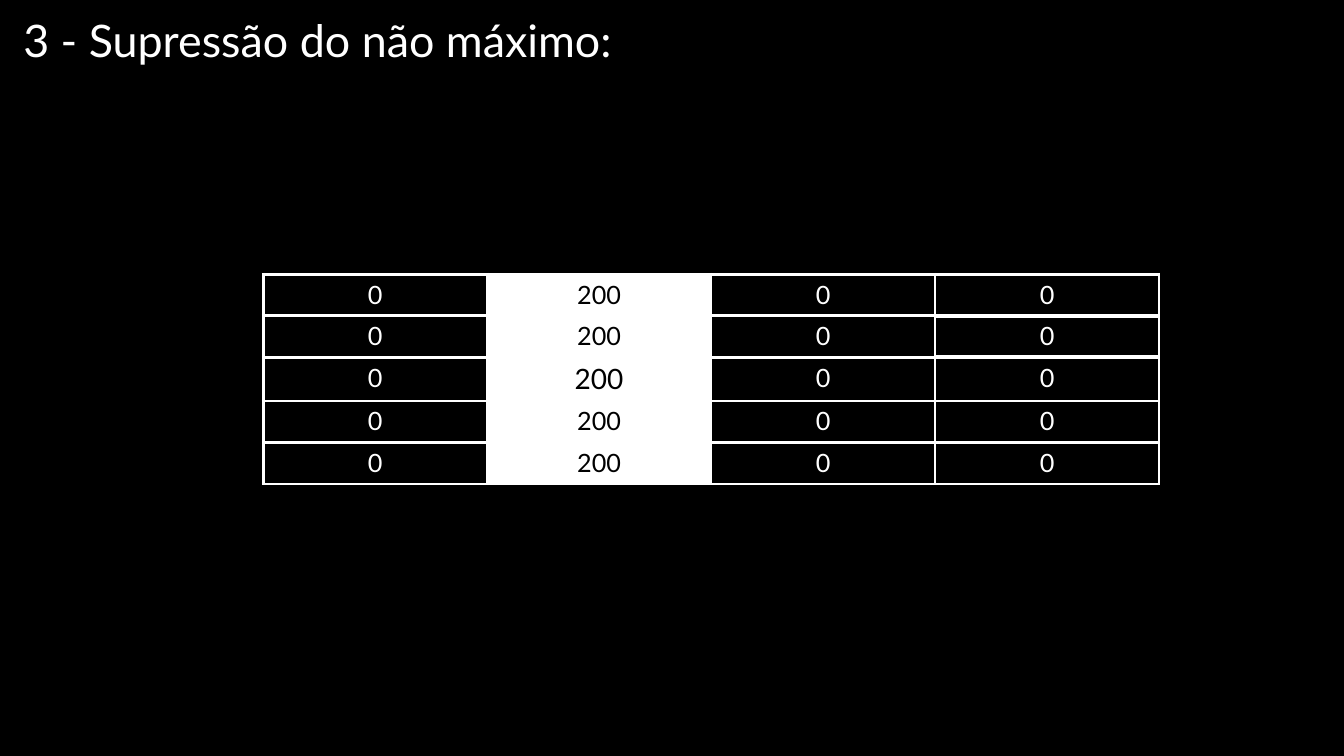
from lxml.etree import SubElement as sub
from pptx import Presentation as Deck
from pptx.dml.color import RGBColor as RGB
from pptx.enum.text import MSO_ANCHOR as Anchor, MSO_AUTO_SIZE as Fit, PP_ALIGN as Align
from pptx.oxml.ns import qn
from pptx.util import Inches, Pt

BLACK, WHITE = "000000", "FFFFFF"


def hue(code):
    return RGB.from_string(code)


def write(frame, text, size=18, color=WHITE, align=Align.LEFT, font="Lato"):
    para = frame.paragraphs[0]
    para.alignment = align
    run = para.add_run()
    run.text = text
    run.font.name = font
    run.font.size = Pt(size)
    run.font.color.rgb = hue(color)


class Page:
    """Style and slide; places are percentages of the slide's size."""

    def __init__(self, deck, back=BLACK, line=WHITE):
        self.wide, self.high = deck.slide_width, deck.slide_height
        self.line = line
        self.slide = deck.slides.add_slide(deck.slide_layouts[5])
        fill = self.slide.background.fill
        fill.solid()
        fill.fore_color.rgb = hue(back)

    def area(self, left, top, width, height):
        return (int(left * self.wide / 100), int(top * self.high / 100),
                int(width * self.wide / 100), int(height * self.high / 100))

    def title(self, text, area, size=32):
        box = self.slide.shapes.title
        box.left, box.top, box.width, box.height = self.area(*area)
        frame = box.text_frame
        frame.word_wrap = True
        frame.auto_size = Fit.SHAPE_TO_FIT_TEXT
        frame.vertical_anchor = Anchor.TOP
        write(frame, text, size=size)

    def border(self, cell, **widths):
        props = cell._tc.get_or_add_tcPr()
        for side in "LRTB":
            edge = sub(props, qn(f"a:ln{side}"), w=str(Pt(widths.get(side, 2.25))))
            paint = sub(edge, qn("a:solidFill"))
            sub(paint, qn("a:srgbClr"), val=self.line)

    def table(self, values, area, peak, thick):
        rows, cols = len(values), len(values[0])
        grid = self.slide.shapes.add_table(rows, cols, *self.area(*area)).table
        grid.first_row = grid.horz_banding = False
        for r, line in enumerate(values):
            for c, value in enumerate(line):
                cell = grid.cell(r, c)
                # Heavier rules lie under the listed rows of the last column
                heavy = {}
                if c == cols - 1:
                    heavy = {side: 3 for side, row in (("T", r - 1), ("B", r))
                             if row in thick}
                self.border(cell, **heavy)
                # Kept values are black on white, suppressed ones white on black
                ink, back = (BLACK, WHITE) if value else (WHITE, BLACK)
                cell.fill.solid()
                cell.fill.fore_color.rgb = hue(back)
                write(cell.text_frame, str(value), color=ink, align=Align.CENTER,
                      size=20 if (r, c) == peak else 18)


def main():
    deck = Deck()
    deck.slide_width, deck.slide_height = Inches(13.333), Inches(7.5)
    page = Page(deck)

    # Gradient values left after suppression
    page.table([[0, 200, 0, 0]] * 5, (19.58, 36.27, 66.67, 27.47),
               peak=(2, 1), thick=(0, 1))

    # Heading
    page.title("3 - Supressão do não máximo:", (0.98, 1.07, 46.05, 8.53))

    deck.save("out.pptx")


if __name__ == "__main__":
    main()
